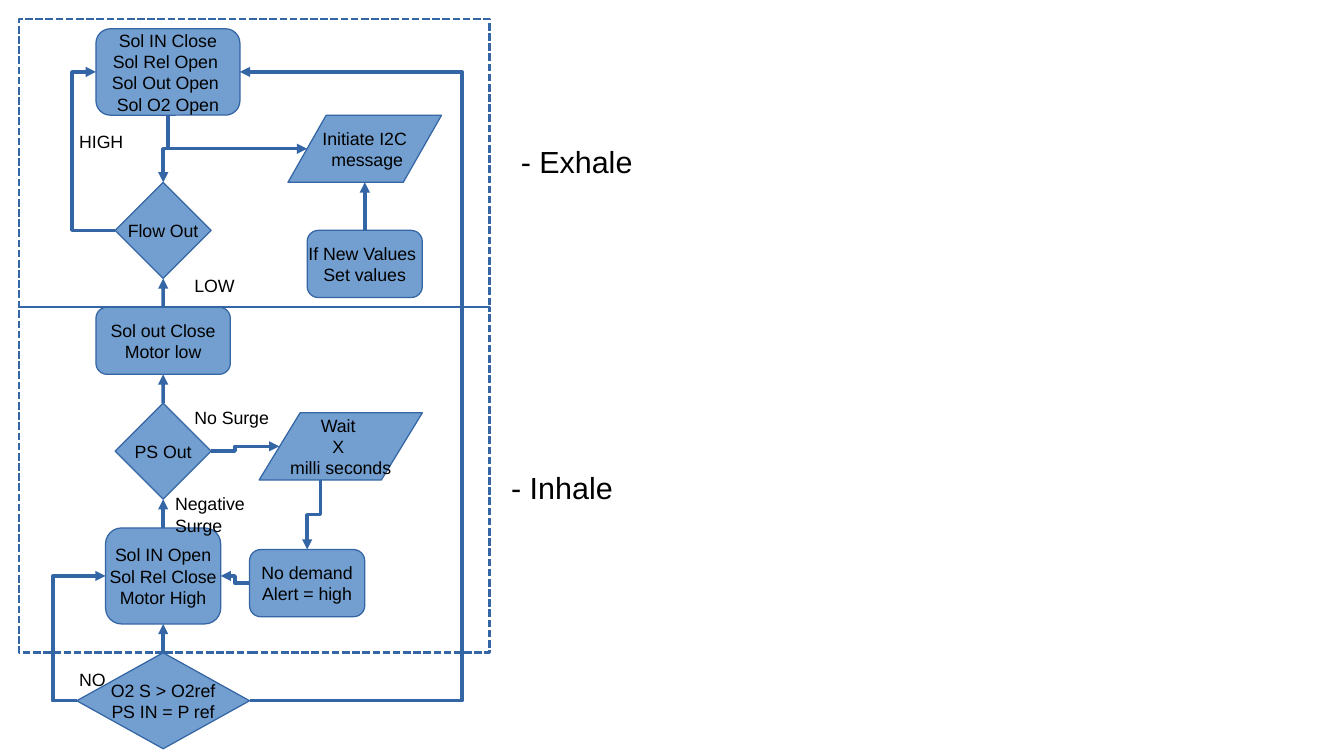
from collections import namedtuple

from lxml import etree
from pptx import Presentation
from pptx.dml.color import RGBColor
from pptx.enum.dml import MSO_LINE
from pptx.enum.shapes import MSO_CONNECTOR, MSO_SHAPE
from pptx.enum.text import MSO_ANCHOR, PP_ALIGN
from pptx.oxml.ns import qn
from pptx.util import Cm, Pt

FILL = RGBColor(0x72, 0x9F, 0xCF)
LINE = RGBColor(0x34, 0x65, 0xA4)
BLACK = RGBColor(0, 0, 0)
TOP, LEFT, BOTTOM, RIGHT = range(4)  # connection sites of boxes and diamonds

Box = namedtuple("Box", "left top width height")  # in centimetres


def inside(area, left, top, width, height):
    return Box(area.left + left, area.top + top, width, height)


def write(shape, lines, size=10.5, align=PP_ALIGN.LEFT):
    frame = shape.text_frame
    frame.text = "\n".join(lines)
    for para in frame.paragraphs:
        para.alignment = align
        para.font.name = "Arial"
        para.font.size = Pt(size)
        para.font.color.rgb = BLACK


def add_step(page, kind, box, *lines, slant=None):
    step = page.shapes.add_shape(kind, *map(Cm, box))
    step.shadow.inherit = False
    step.fill.solid()
    step.fill.fore_color.rgb = FILL
    step.line.color.rgb = LINE
    step.line.width = 0
    if slant is not None:
        step.adjustments[0] = slant
    step.text_frame.word_wrap = False
    step.text_frame.vertical_anchor = MSO_ANCHOR.MIDDLE
    write(step, lines, align=PP_ALIGN.CENTER)
    return step


def add_label(page, box, text, size=10.5):
    label = page.shapes.add_textbox(*map(Cm, box))
    label.text_frame.word_wrap = True
    write(label, [text], size)


def add_frame(page, box):
    frame = page.shapes.add_shape(MSO_SHAPE.RECTANGLE, *map(Cm, box))
    frame.shadow.inherit = False
    frame.fill.background()
    frame.line.color.rgb = LINE
    frame.line.width = Pt(1.5)
    frame.line.dash_style = MSO_LINE.SQUARE_DOT


def add_arrow(page, start, end, kind=MSO_CONNECTOR.STRAIGHT, bend=None):
    arrow = page.shapes.add_connector(kind, *map(Cm, start + end))
    arrow.line.color.rgb = LINE
    arrow.line.width = 0
    line = arrow.line._get_or_add_ln()
    etree.SubElement(line, qn("a:tailEnd"), type="triangle")
    properties = arrow._element.spPr
    etree.SubElement(properties, qn("a:effectLst"))
    if bend is not None:
        guides = properties.find(qn("a:prstGeom")).get_or_add_avLst()
        etree.SubElement(guides, qn("a:gd"), name="adj1", fmla=f"val {round(bend * 100000)}")
    return arrow


def site_point(shape, site):
    """Return the centre of one side of a shape, in centimetres."""
    across, down = [(0.5, 0), (0, 0.5), (0.5, 1), (1, 0.5)][site]
    return (shape.left.cm + across * shape.width.cm, shape.top.cm + down * shape.height.cm)


def join(page, first, first_site, last, last_site, turn=None):
    """Glue an arrow between two shapes, bent at the x position turn if given."""
    start, end = site_point(first, first_site), site_point(last, last_site)
    if turn is None:
        arrow = add_arrow(page, start, end)
    else:
        bend = (turn - start[0]) / (end[0] - start[0])
        arrow = add_arrow(page, start, end, MSO_CONNECTOR.ELBOW, bend)
    arrow.begin_connect(first, first_site)
    arrow.end_connect(last, last_site)


def add_drop(page, start, end):
    """Draw an arrow that runs down, sideways and down: an elbow turned by 90 degrees."""
    middle_x, middle_y = (start[0] + end[0]) / 2, (start[1] + end[1]) / 2
    half_x, half_y = (end[1] - start[1]) / 2, (start[0] - end[0]) / 2
    arrow = add_arrow(page, (middle_x - half_x, middle_y - half_y),
                      (middle_x + half_x, middle_y + half_y), MSO_CONNECTOR.ELBOW, 0.5)
    arrow._element.spPr.find(qn("a:xfrm")).set("rot", "5400000")


def exhale_stage(page, area):
    valves = add_step(page, MSO_SHAPE.ROUNDED_RECTANGLE, inside(area, 1.6, 0.2, 3, 1.8),
                      "Sol IN Close", "Sol Rel Open ", "Sol Out Open ", "Sol O2 Open")
    flow = add_step(page, MSO_SHAPE.DIAMOND, inside(area, 2, 3.4, 2, 2), "Flow Out")
    message = add_step(page, MSO_SHAPE.PARALLELOGRAM, inside(area, 5.6, 2, 3.2, 1.4),
                       "Initiate I2C", " message", slant=0.57)
    values = add_step(page, MSO_SHAPE.ROUNDED_RECTANGLE, inside(area, 6, 4.4, 2.4, 1.4),
                      "If New Values ", "Set values")
    join(page, flow, LEFT, valves, LEFT, turn=area.left + 1.1)
    add_arrow(page, site_point(values, TOP), site_point(message, BOTTOM))
    start, end = site_point(valves, BOTTOM), site_point(flow, TOP)
    add_drop(page, start, end)
    branch_y = (start[1] + end[1]) / 2
    add_arrow(page, (start[0], branch_y), (area.left + 6, branch_y))
    add_label(page, inside(area, 3.4, 5.2, 1.4, 0.65), "LOW")
    add_label(page, inside(area, 1, 2.2, 1.8, 1.05), "HIGH")
    add_label(page, inside(area, 10.2, 2.45, 4, 0.95), "- Exhale", 18)
    add_frame(page, area)
    return valves, flow


def inhale_stage(page, area):
    motor_low = add_step(page, MSO_SHAPE.ROUNDED_RECTANGLE, inside(area, 1.6, 0, 2.8, 1.4),
                         "Sol out Close", "Motor low")
    pressure = add_step(page, MSO_SHAPE.DIAMOND, inside(area, 2, 2, 2, 2), "PS Out")
    motor_high = add_step(page, MSO_SHAPE.ROUNDED_RECTANGLE, inside(area, 1.8, 4.6, 2.4, 2),
                          "Sol IN Open", "Sol Rel Close", "Motor High")
    wait = add_step(page, MSO_SHAPE.PARALLELOGRAM, inside(area, 5, 2.2, 3.4, 1.4),
                    "Wait ", "X ", "milli seconds", slant=0.61)
    alert = add_step(page, MSO_SHAPE.ROUNDED_RECTANGLE, inside(area, 4.8, 5.05, 2.4, 1.4),
                     "No demand", "Alert = high")
    join(page, pressure, TOP, motor_low, BOTTOM)
    join(page, motor_high, TOP, pressure, BOTTOM)
    join(page, alert, LEFT, motor_high, RIGHT, turn=area.left + 4.5)
    add_arrow(page, site_point(pressure, RIGHT), (area.left + 5.42, site_point(wait, LEFT)[1]),
              MSO_CONNECTOR.ELBOW, 0.35)
    add_drop(page, (area.left + 6.28, area.top + 3.6), site_point(alert, TOP))
    add_label(page, inside(area, 3, 3.75, 2.2, 1.05), "Negative Surge")
    add_label(page, inside(area, 3.4, 1.95, 2.2, 1.05), "No Surge")
    add_label(page, inside(area, 10, 3.25, 4, 0.95), "- Inhale", 18)
    add_frame(page, area)
    return motor_low, motor_high


def oxygen_check(page, area):
    check = add_step(page, MSO_SHAPE.DIAMOND, inside(area, 1.2, 0, 3.6, 2),
                     "O2 S > O2ref", "PS IN = P ref")
    add_label(page, inside(area, 1, 0.2, 1.8, 1.05), "NO")
    return check


def main():
    deck = Presentation()
    deck.slide_width, deck.slide_height = Cm(28), Cm(15.75)
    page = deck.slides.add_slide(deck.slide_layouts[6])
    valves, flow = exhale_stage(page, Box(0.4, 0.4, 9.8, 6))
    motor_low, motor_high = inhale_stage(page, Box(0.4, 6.4, 9.8, 7.2))
    check = oxygen_check(page, Box(0.4, 13.6, 9.8, 2))
    join(page, motor_low, TOP, flow, BOTTOM)
    join(page, check, TOP, motor_high, BOTTOM)
    join(page, check, LEFT, motor_high, LEFT, turn=1.1)
    join(page, check, RIGHT, valves, RIGHT, turn=9.63)
    deck.save("out.pptx")


if __name__ == "__main__":
    main()
